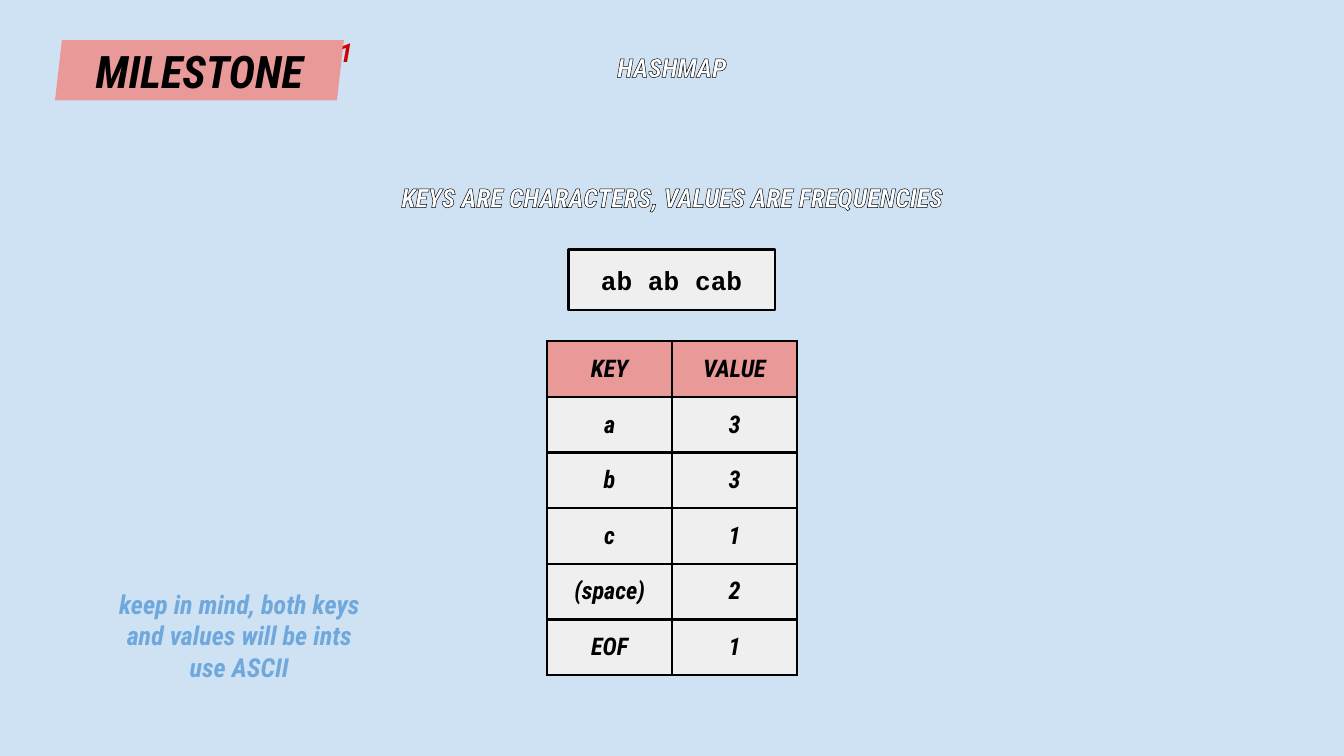
import pptx
import pptx.dml.color
import pptx.enum.shapes
import pptx.enum.text
import pptx.oxml
import pptx.oxml.ns
import pptx.util
from pptx.util import Cm

COLORS = {
    "background": "CFE2F3",
    "pink": "EA9999",
    "gray": "EFEFEF",
    "black": "000000",
    "white": "FFFFFF",
    "red": "CC0000",
    "blue": "6FA8DC",
}
FONT = "Roboto Condensed"
DRAWING = pptx.oxml.ns.nsdecls("a")


def line_xml(tag, color, points):
    return pptx.oxml.parse_xml(
        f'<a:{tag} {DRAWING} w="{int(points * 12700)}"><a:solidFill>'
        f'<a:srgbClr val="{COLORS[color]}"/></a:solidFill></a:{tag}>')


def write(frame, text, size, color, margin=0.25, middle=False, font=FONT, italic=True):
    frame.text = text
    frame.word_wrap = True
    frame.margin_left = frame.margin_right = Cm(0.25)
    frame.margin_top = frame.margin_bottom = Cm(margin)
    anchors = pptx.enum.text.MSO_ANCHOR
    frame.vertical_anchor = anchors.MIDDLE if middle else anchors.TOP
    for paragraph in frame.paragraphs:
        paragraph.alignment = pptx.enum.text.PP_ALIGN.CENTER
        paragraph.font.name = font
        paragraph.font.size = pptx.util.Pt(size)
        paragraph.font.bold = True
        paragraph.font.italic = italic
        paragraph.font.color.rgb = pptx.dml.color.RGBColor.from_string(COLORS[color])


presentation = pptx.Presentation()
presentation.slide_width = Cm(25.4)
presentation.slide_height = Cm(14.29)
slide = presentation.slides.add_slide(presentation.slide_layouts[5])
slide.background.fill.solid()
slide.background.fill.fore_color.rgb = pptx.dml.color.RGBColor.from_string(COLORS["background"])

# Milestone banner and input string
shapes = pptx.enum.shapes.MSO_SHAPE
for kind, box, fill, text, size, font, italic in [
    (shapes.PARALLELOGRAM, (1.04, 0.76, 5.46, 1.14), "pink", "MILESTONE", 24, FONT, True),
    (shapes.RECTANGLE, (10.74, 4.72, 3.91, 1.14), "gray", "ab ab cab", 14, "Courier New", False),
]:
    shape = slide.shapes.add_shape(kind, *map(Cm, box))
    shape.shadow.inherit = False
    shape.fill.solid()
    shape.fill.fore_color.rgb = pptx.dml.color.RGBColor.from_string(COLORS[fill])
    if kind == shapes.PARALLELOGRAM:
        shape.adjustments[0] = 0.115
        shape.line.fill.background()
    else:
        shape.line.color.rgb = pptx.dml.color.RGBColor.from_string(COLORS["black"])
        shape.line.width = pptx.util.Pt(1.5)
    write(shape.text_frame, text, size, "black", middle=True, font=font, italic=italic)

# Title and outlined labels
title = slide.shapes.title
title.left, title.top, title.width, title.height = map(Cm, (10.06, 0.84, 5.28, 0.99))
title.text_frame.auto_size = pptx.enum.text.MSO_AUTO_SIZE.NONE
number = slide.shapes.add_textbox(Cm(6.17), Cm(0.56), Cm(0.58), Cm(1.57))
subtitle = slide.shapes.add_textbox(Cm(2.13), Cm(3.3), Cm(21.16), Cm(0.86))
for shape, text, color, outline, width in [
    (title, "HASHMAP", "white", "black", 1.5),
    (number, "1", "red", "red", 1.5),
    (subtitle, "KEYS ARE CHARACTERS, VALUES ARE FREQUENCIES", "white", "black", 0.75),
]:
    write(shape.text_frame, text, 14, color, margin=0.13)
    run = shape.text_frame.paragraphs[0].runs[0]
    run._r.get_or_add_rPr().insert(0, line_xml("ln", outline, width))

# Frequency table
rows = [("KEY", "VALUE"), ("a", "3"), ("b", "3"), ("c", "1"), ("(space)", "2"), ("EOF", "1")]
column_width, row_height = 2.36, 1.04
table = slide.shapes.add_table(
    len(rows), 2, Cm(10.34), Cm(6.45), Cm(2 * column_width), Cm(len(rows) * row_height)).table
for row_index, row in enumerate(rows):
    for column_index, text in enumerate(row):
        cell = table.cell(row_index, column_index)
        write(cell.text_frame, text, 13, "black")
        cell.margin_left = cell.margin_right = cell.margin_top = cell.margin_bottom = Cm(0.25)
        cell.vertical_anchor = pptx.enum.text.MSO_ANCHOR.MIDDLE
        cell.fill.solid()
        fill = "gray" if row_index else "pink"
        cell.fill.fore_color.rgb = pptx.dml.color.RGBColor.from_string(COLORS[fill])
        for position, side in enumerate(("lnL", "lnR", "lnT", "lnB")):
            cell._tc.get_or_add_tcPr().insert(position, line_xml(side, "black", 1.5))

# Reminder
reminder = slide.shapes.add_textbox(Cm(1.96), Cm(10.87), Cm(5.13), Cm(2.31))
write(reminder.text_frame, "keep in mind, both keys and values will be ints\nuse ASCII", 14, "blue")
reminder.text_frame.auto_size = pptx.enum.text.MSO_AUTO_SIZE.SHAPE_TO_FIT_TEXT

presentation.save("out.pptx")
